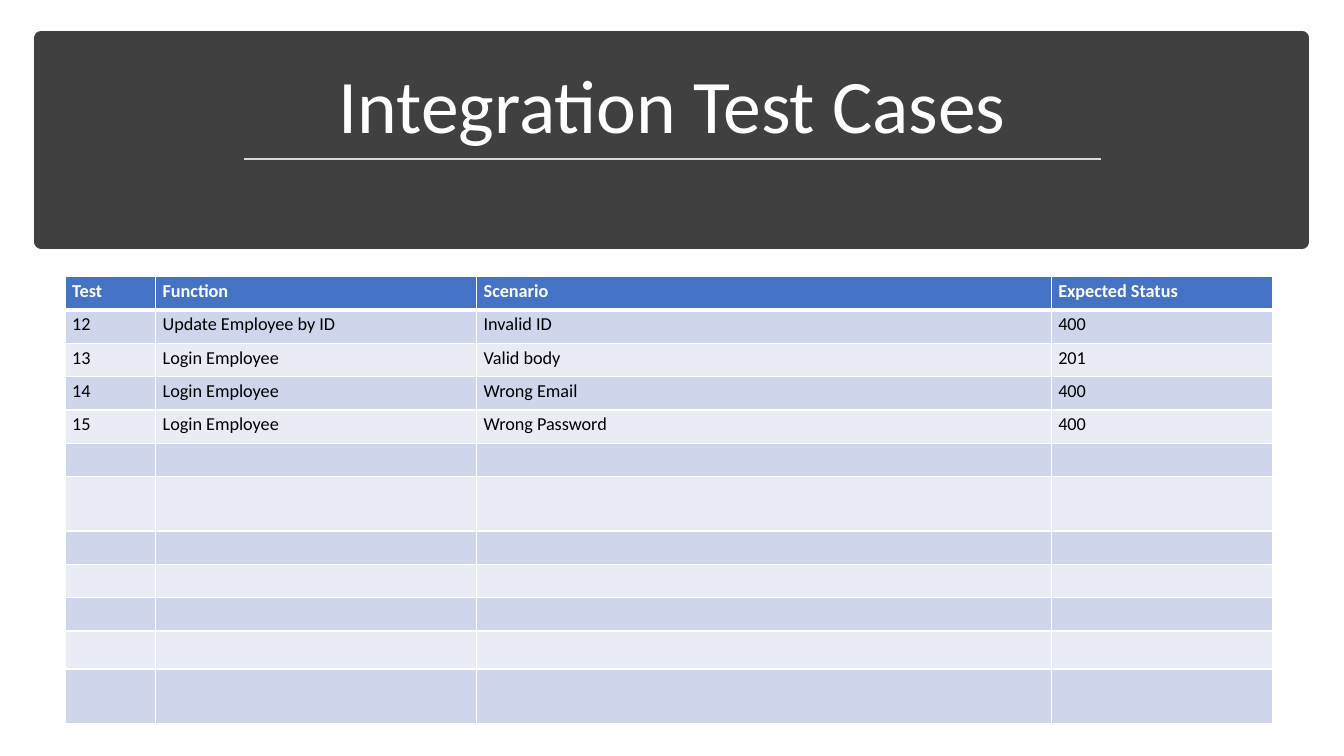
from dataclasses import dataclass

import lxml.etree
import pptx
import pptx.dml.color
import pptx.enum.shapes
import pptx.enum.text
import pptx.oxml.ns
import pptx.util
from pptx.util import Cm

FONT = "Calibri"
COLORS = {
    "banner": "404040",
    "rule": "D9D9D9",
    "white": "FFFFFF",
    "black": "000000",
    "header": "4472C4",
    "band_dark": "CFD5EA",
    "band_light": "E9EBF5",
}


@dataclass
class TestCase:
    number: str
    function: str
    scenario: str
    status: str

    def cells(self) -> list[str]:
        return [self.number, self.function, self.scenario, self.status]


HEADER = TestCase("Test", "Function", "Scenario", "Expected Status")
EMPTY = TestCase("", "", "", "")
TEST_CASES = [
    TestCase("12", "Update Employee by ID", "Invalid ID", "400"),
    TestCase("13", "Login Employee", "Valid body", "201"),
    TestCase("14", "Login Employee", "Wrong Email", "400"),
    TestCase("15", "Login Employee", "Wrong Password", "400"),
]
EMPTY_ROWS = 7
COLUMN_WIDTHS = [2.28, 8.09, 14.48, 5.59]
ROW_HEIGHT = 0.84
TALL_ROWS = {6: 1.37, 10: 0.96, 11: 1.37}


def color(name: str) -> pptx.dml.color.RGBColor:
    return pptx.dml.color.RGBColor.from_string(COLORS[name])


def add_element(parent, tag: str, **attributes: str):
    return lxml.etree.SubElement(parent, pptx.oxml.ns.qn(tag), attributes)


def write_text(text_frame, text: str, *, size: float, color_name: str,
               bold: bool = False, alignment=None, line_spacing=None) -> None:
    paragraph = text_frame.paragraphs[0]
    paragraph.alignment = alignment
    paragraph.line_spacing = line_spacing
    if not text:
        # The end mark carries the size of an empty paragraph
        add_element(paragraph._p, "a:endParaRPr", sz=str(int(size * 100)))
        return
    run = paragraph.add_run()
    run.text = text
    run.font.name = FONT
    run.font.size = pptx.util.Pt(size)
    run.font.bold = bold
    run.font.color.rgb = color(color_name)


def add_borders(cell, bottom_width: float) -> None:
    properties = cell._tc.get_or_add_tcPr()
    widths = {"a:lnL": 1, "a:lnR": 1, "a:lnT": 1, "a:lnB": bottom_width}
    for tag, width in widths.items():
        line = add_element(properties, tag, w=str(pptx.util.Pt(width)))
        fill = add_element(line, "a:solidFill")
        add_element(fill, "a:srgbClr", val=COLORS["white"])


def format_cell(cell, text: str, is_header: bool, fill_name: str) -> None:
    cell.margin_left = cell.margin_right = Cm(0.18)
    cell.margin_top = cell.margin_bottom = Cm(0.09)
    add_borders(cell, bottom_width=3 if is_header else 1)
    cell.fill.solid()
    cell.fill.fore_color.rgb = color(fill_name)
    write_text(cell.text_frame, text, size=13, bold=is_header,
               color_name="white" if is_header else "black")


def add_banner(slide) -> None:
    banner = slide.shapes.add_shape(
        pptx.enum.shapes.MSO_SHAPE.RECTANGLE,
        Cm(1.04), Cm(0.96), Cm(31.78), Cm(5.13))
    banner.shadow.inherit = False
    banner.fill.solid()
    banner.fill.fore_color.rgb = color("banner")
    banner.line.color.rgb = color("banner")
    banner.line.width = pptx.util.Pt(10)


def add_title(slide) -> None:
    title = slide.shapes.add_textbox(Cm(1.47), Cm(1.3), Cm(30.94), Cm(2.59))
    title.text_frame.word_wrap = True
    title.text_frame.vertical_anchor = pptx.enum.text.MSO_ANCHOR.BOTTOM
    write_text(title.text_frame, "Integration Test Cases", size=54,
               color_name="white", line_spacing=0.9,
               alignment=pptx.enum.text.PP_ALIGN.CENTER)


def add_rule(slide) -> None:
    rule = slide.shapes.add_connector(
        pptx.enum.shapes.MSO_CONNECTOR.STRAIGHT,
        Cm(6.15), Cm(4.01), Cm(27.74), Cm(4.01))
    rule.line.color.rgb = color("rule")
    rule.line.width = pptx.util.Pt(1.75)
    add_element(rule._element.spPr, "a:effectLst")


def add_test_table(slide) -> None:
    records = [HEADER, *TEST_CASES, *[EMPTY] * EMPTY_ROWS]
    heights = [TALL_ROWS.get(i, ROW_HEIGHT) for i in range(len(records))]
    table = slide.shapes.add_table(
        len(records), len(COLUMN_WIDTHS), Cm(1.64), Cm(6.97),
        Cm(sum(COLUMN_WIDTHS)), Cm(sum(heights))).table
    for column, width in zip(table.columns, COLUMN_WIDTHS):
        column.width = Cm(width)
    for index, (row, record) in enumerate(zip(table.rows, records)):
        row.height = Cm(heights[index])
        band = "band_dark" if index % 2 else "band_light"
        fill_name = band if index else "header"
        for cell, text in zip(row.cells, record.cells()):
            format_cell(cell, text, index == 0, fill_name)


def main() -> None:
    presentation = pptx.Presentation()
    presentation.slide_width = Cm(33.87)
    presentation.slide_height = Cm(19.05)
    slide = presentation.slides.add_slide(presentation.slide_layouts[6])

    # Heading
    add_banner(slide)
    add_title(slide)
    add_rule(slide)

    # Test cases
    add_test_table(slide)

    presentation.save("out.pptx")


if __name__ == "__main__":
    main()
